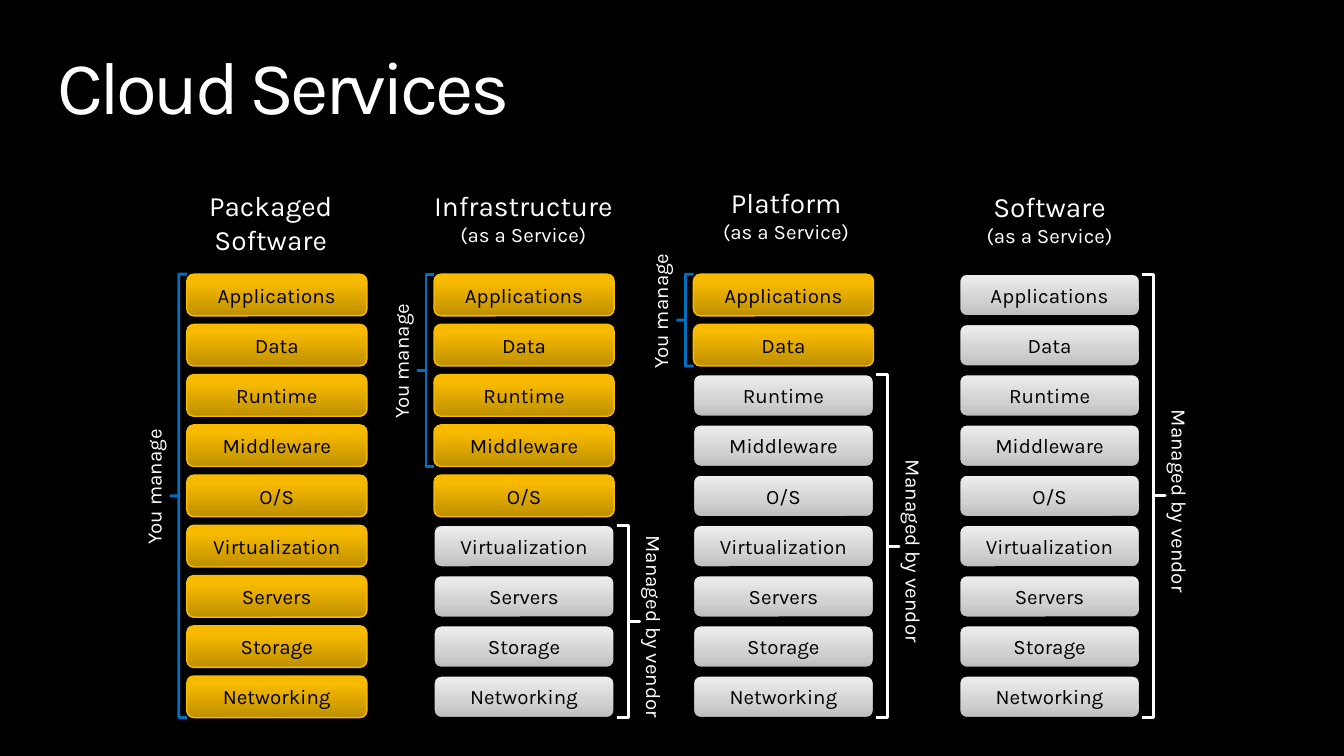
from dataclasses import dataclass
from lxml.etree import SubElement
from pptx import Presentation
from pptx.dml.color import RGBColor
from pptx.enum.shapes import MSO_SHAPE
from pptx.enum.text import MSO_ANCHOR, MSO_AUTO_SIZE, PP_ALIGN
from pptx.oxml.ns import qn
from pptx.util import Inches, Pt


@dataclass(frozen=True)
class Theme:
    font: str = "Karla"
    title: int = 40
    heading: int = 15
    body: int = 11
    black: str = "000000"
    white: str = "FFFFFF"
    blue: str = "0070C0"
    gold_line: str = "F9BC00"
    gold: tuple = ((0, "BE8F00"), (80, "F7BA00"), (100, "F8BB00"))
    grey: tuple = ((0, "BDBDBD"), (35, "D1D1D1"), (100, "EEEEEE"))


def place(x, y, w, h):
    return [Inches(v) for v in (x, y, w, h)]


def write(tf, lines, color, align=PP_ALIGN.CENTER):
    for i, (text, size) in enumerate(lines):
        p = tf.paragraphs[0] if i == 0 else tf.add_paragraph()
        p.alignment = align
        r = p.add_run()
        r.text = text
        r.font.name = T.font
        r.font.size = Pt(size)
        r.font.color.rgb = RGBColor.from_string(color)


T = Theme()
SLIDE_W = 10
SLIDE_H = SLIDE_W * 9 / 16
BOX_W, BOX_H = 1.34, 0.31
TOP, LAST_TOP = 2.04, 5.03
LABEL_W = 0.39
PANEL_H = 4.06

layers = ["Applications", "Data", "Runtime", "Middleware", "O/S",
          "Virtualization", "Servers", "Storage", "Networking"]
PITCH = (LAST_TOP - TOP) / (len(layers) - 1)
service = ("(as a Service)", T.body)
columns = [
    (1.39, 1.25, 1.28, 1.53, [("Packaged Software", T.heading)], 9, 9, 9),
    (3.23, 2.83, 1.25, 2.13, [("Infrastructure", T.heading), service], 5, 4, 5),
    (5.16, 5.03, 1.25, 1.64, [("Platform", T.heading), service], 2, 2, 2),
    (7.14, 6.98, 1.28, 1.66, [("Software", T.heading), service], 0, 0, 0),
]

prs = Presentation()
prs.slide_width, prs.slide_height = Inches(SLIDE_W), Inches(SLIDE_H)
s = prs.slides.add_slide(prs.slide_layouts[5])
s.background.fill.solid()
s.background.fill.fore_color.rgb = RGBColor.from_string(T.black)

title = s.shapes.title
title.left, title.top, title.width, title.height = place(0.43, 0.37, 9.15, 0.61)
tf = title.text_frame
tf.margin_left = tf.margin_right = tf.margin_top = tf.margin_bottom = 0
tf.vertical_anchor = MSO_ANCHOR.TOP
tf.auto_size = MSO_AUTO_SIZE.SHAPE_TO_FIT_TEXT
write(tf, [("Cloud Services", T.title)], T.white, PP_ALIGN.LEFT)
tf.paragraphs[0].line_spacing = 0.9
tf.paragraphs[0].runs[0].font._element.set("spc", "-200")

for left, panel_x, panel_y, panel_w, heading, gold, yours, vendor in columns:
    shapes = s.shapes.add_group_shape().shapes

    sp = shapes.add_shape(MSO_SHAPE.ROUNDED_RECTANGLE, *place(panel_x, panel_y, panel_w, PANEL_H))
    sp.shadow.inherit = False
    sp.fill.background()
    sp.line.fill.background()
    tf = sp.text_frame
    tf.margin_left = tf.margin_right = 0
    tf.vertical_anchor = MSO_ANCHOR.TOP
    write(tf, heading, T.white)

    for i, layer in enumerate(layers):
        stops, edge, alpha, dist = ((T.gold, T.gold_line, 35, 1.8) if i < gold
                                    else (T.grey, T.black, 38, 1.6))
        sp = shapes.add_shape(MSO_SHAPE.ROUNDED_RECTANGLE, *place(left, TOP + i * PITCH, BOX_W, BOX_H))
        sp.fill.gradient()
        sp.fill.gradient_angle = 90
        gs_lst = sp._element.spPr.find(qn("a:gradFill")).find(qn("a:gsLst"))
        gs_lst.clear()
        for pos, color in stops:
            gs = SubElement(gs_lst, qn("a:gs"), pos=str(pos * 1000))
            SubElement(gs, qn("a:srgbClr"), val=color)
        sp.line.color.rgb = RGBColor.from_string(edge)
        sp.line.width = Pt(0.75)
        sp.shadow.inherit = False
        shadow = SubElement(sp._element.spPr.find(qn("a:effectLst")), qn("a:outerShdw"),
                            blurRad=str(Pt(3.1)), dist=str(Pt(dist)), dir="5400000", rotWithShape="0")
        color = SubElement(shadow, qn("a:srgbClr"), val=T.black)
        SubElement(color, qn("a:alpha"), val=str(alpha * 1000))
        tf = sp.text_frame
        tf.margin_left = tf.margin_right = 0
        tf.vertical_anchor = MSO_ANCHOR.MIDDLE
        write(tf, [(layer, T.body)], T.black)

    right = left + BOX_W
    braces = [
        (0, yours, left - 0.12, 0.12, T.blue, False, "You manage", left - LABEL_W, -0.02, 0.96, "vert270"),
        (vendor, len(layers), right + 0.02, 0.17, T.white, True,
         "Managed by vendor", right + 0.05, 0, 1.48, "eaVert"),
    ]
    for first, end, x, w, color, flip, text, label_x, shift, label_h, vert in braces:
        if first == end:
            continue
        y = TOP + first * PITCH
        h = (end - first - 1) * PITCH + BOX_H
        sp = shapes.add_shape(MSO_SHAPE.LEFT_BRACE, *place(x, y, w, h))
        sp.adjustments[0], sp.adjustments[1] = 0, 0.5
        sp.shadow.inherit = False
        sp.fill.background()
        sp.line.color.rgb = RGBColor.from_string(color)
        sp.line.width = Pt(1.5)
        if flip:
            sp._element.spPr.find(qn("a:xfrm")).set("flipH", "1")

        label = shapes.add_textbox(*place(label_x, y + (h - label_h) / 2 + shift, LABEL_W, label_h))
        tf = label.text_frame
        tf.word_wrap = False
        tf.auto_size = MSO_AUTO_SIZE.SHAPE_TO_FIT_TEXT
        tf._txBody.bodyPr.set("vert", vert)
        write(tf, [(text, T.body)], T.white, PP_ALIGN.LEFT)

prs.save("out.pptx")
